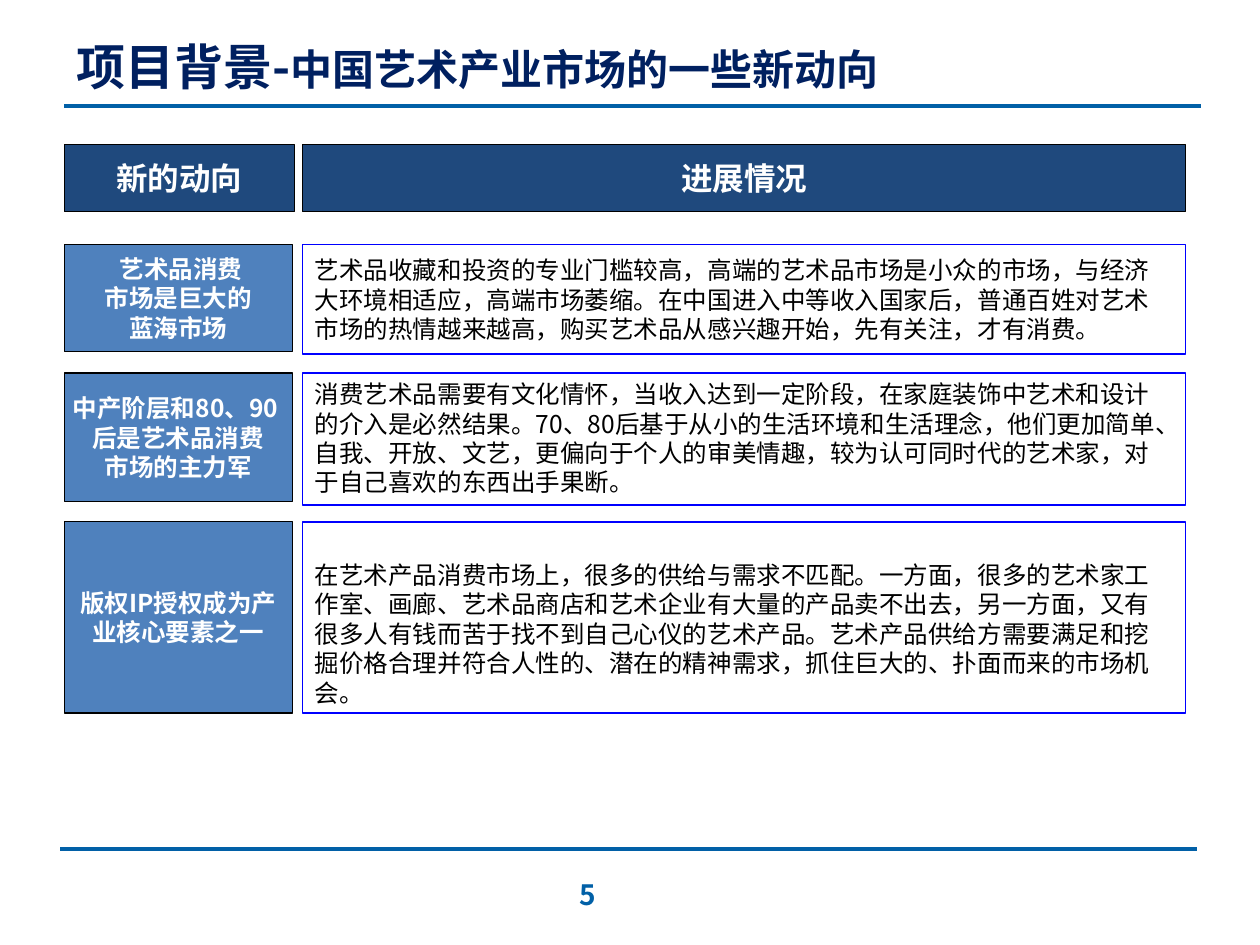
import pptx
import pptx.util
import pptx.dml.color
import pptx.enum.text
import pptx.enum.shapes
import pptx.oxml
import pptx.oxml.ns
import lxml.etree

Inches = pptx.util.Inches
ANCHOR = pptx.enum.text.MSO_ANCHOR
ALIGN = pptx.enum.text.PP_ALIGN
NAVY, HEADER, LABEL, RULE = "002060", "1F497D", "4F81BD", "0160A7"
BLACK, WHITE, BLUE = "000000", "FFFFFF", "0000FF"


def color(hex_value):
    return pptx.dml.color.RGBColor.from_string(hex_value)


def assign(target, values):
    for name, value in values.items():
        setattr(target, name, value)


class TrendSlide:
    font = "Noto Sans CJK SC"

    def __init__(self, deck):
        self.slide = deck.slides.add_slide(deck.slide_layouts[5])

    def set_text(self, shape, paragraphs, align=ALIGN.LEFT, anchor=ANCHOR.MIDDLE,
                 wrap=True, inset=0.1):
        """Each paragraph is a list of (text, size, colour, bold) runs."""
        frame = shape.text_frame
        assign(frame, {
            "word_wrap": wrap, "vertical_anchor": anchor,
            "auto_size": pptx.enum.text.MSO_AUTO_SIZE.NONE,
            "margin_left": Inches(inset), "margin_right": Inches(inset),
            "margin_top": Inches(inset / 2), "margin_bottom": Inches(inset / 2)})
        for index, runs in enumerate(paragraphs):
            paragraph = frame.add_paragraph() if index else frame.paragraphs[0]
            paragraph.alignment = align
            for text, size, ink, bold in runs:
                run = paragraph.add_run()
                run.text = text
                assign(run.font, {"name": self.font, "bold": bold,
                                  "size": pptx.util.Pt(size)})
                run.font.color.rgb = color(ink)
                # East Asian typeface
                east_asian = lxml.etree.SubElement(
                    run.font._element, pptx.oxml.ns.qn("a:ea"))
                east_asian.set("typeface", self.font)

    def title(self, box, runs):
        heading = self.slide.shapes.title
        assign(heading, dict(zip(("left", "top", "width", "height"), map(Inches, box))))
        self.set_text(heading, [runs])

    def text(self, box, line, size, ink):
        self.set_text(self.slide.shapes.add_textbox(*map(Inches, box)),
                      [[(line, size, ink, True)]], ALIGN.CENTER)

    def panel(self, box, lines, size, ink, fill=None, border=BLACK, weight=0.75,
              bold=True, **layout):
        panel = self.slide.shapes.add_shape(
            pptx.enum.shapes.MSO_SHAPE.RECTANGLE, *map(Inches, box))
        panel.shadow.inherit = False
        if fill:
            panel.fill.solid()
            panel.fill.fore_color.rgb = color(fill)
        else:
            panel.fill.background()
        panel.line.color.rgb = color(border)
        panel.line.width = pptx.util.Pt(weight)
        self.set_text(panel, [[(line, size, ink, bold)] for line in lines], **layout)

    def rule(self, left, top, width):
        rule = self.slide.shapes.add_connector(
            pptx.enum.shapes.MSO_CONNECTOR.STRAIGHT,
            *map(Inches, (left, top, left + width, top)))
        rule.line.color.rgb = color(RULE)
        rule.line.width = pptx.util.Pt(2.25)
        lxml.etree.SubElement(rule._element.spPr, pptx.oxml.ns.qn("a:effectLst"))


deck = pptx.Presentation()
assign(deck, {"slide_width": Inches(10), "slide_height": Inches(7.5)})
page = TrendSlide(deck)

# Title, rules and page number
page.title((0.51, 0.21, 8.98, 0.62),
           [("项目背景-", 28, NAVY, True),
            ("中国艺术产业市场的一些新动向", 24, NAVY, True)])
page.rule(0.51, 0.84, 9.02)
page.rule(0.48, 6.74, 9.02)
page.text((3.5, 6.9, 2.33, 0.4), "5", 16, RULE)

# Column headers
label_left, detail_left, detail_width = 0.51, 2.4, 7.01
for left, width, header in ((label_left, 1.83, "新的动向"),
                            (detail_left, detail_width, "进展情况")):
    page.panel((left, 1.15, width, 0.53), [header], 18, WHITE, HEADER,
               align=ALIGN.CENTER, wrap=False)

# Trends: top, label height, detail height, detail anchor, label, detail
trends = [
    (1.94, 0.85, 0.87, ANCHOR.MIDDLE,
     [" 艺术品消费", "市场是巨大的", "蓝海市场"],
     "艺术品收藏和投资的专业门槛较高，高端的艺术品市场是小众的市场，与经济大环境相适应，"
     "高端市场萎缩。在中国进入中等收入国家后，普通百姓对艺术市场的热情越来越高，"
     "购买艺术品从感兴趣开始，先有关注，才有消费。"),
    (2.96, 1.02, 1.05, ANCHOR.TOP,
     ["中产阶层和80、90 ", "后是艺术品消费", "市场的主力军"],
     "消费艺术品需要有文化情怀，当收入达到一定阶段，在家庭装饰中艺术和设计的介入是必然结果。"
     "70、80后基于从小的生活环境和生活理念，他们更加简单、自我、开放、文艺，"
     "更偏向于个人的审美情趣，较为认可同时代的艺术家，对于自己喜欢的东西出手果断。"),
    (4.14, 1.52, 1.52, ANCHOR.BOTTOM,
     ["版权IP授权成为产", "业核心要素之一"],
     "在艺术产品消费市场上，很多的供给与需求不匹配。一方面，很多的艺术家工作室、画廊、"
     "艺术品商店和艺术企业有大量的产品卖不出去，另一方面，又有很多人有钱而苦于找不到"
     "自己心仪的艺术产品。艺术产品供给方需要满足和挖掘价格合理并符合人性的、"
     "潜在的精神需求，抓住巨大的、扑面而来的市场机会。"),
]
for top, label_height, detail_height, anchor, label, detail in trends:
    page.panel((detail_left, top, detail_width, detail_height), [detail], 14, BLACK,
               border=BLUE, weight=1, bold=False, anchor=anchor)
    page.panel((label_left, top, 1.81, label_height), label, 14, WHITE, LABEL,
               align=ALIGN.CENTER, wrap=False, inset=0)

deck.save("out.pptx")
